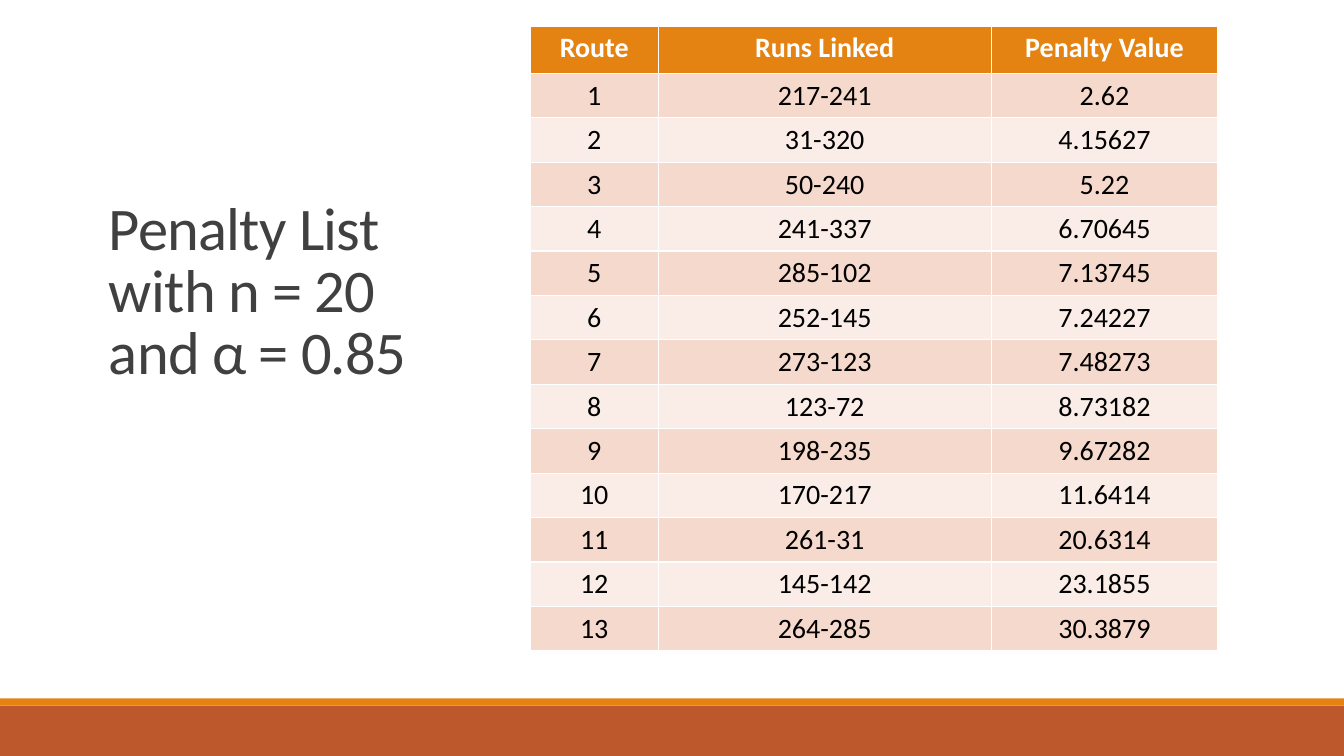
"""Build the penalty list slide with its route table and footer bands."""
from dataclasses import dataclass

from pptx import Presentation
from pptx.dml.color import RGBColor
from pptx.enum.shapes import MSO_SHAPE
from pptx.enum.text import MSO_ANCHOR, MSO_AUTO_SIZE, PP_ALIGN
from pptx.oxml.ns import qn
from pptx.slide import Slide
from pptx.text.text import _Paragraph
from pptx.util import Emu, Pt

EMU_PER_PX = 9525


@dataclass(frozen=True)
class Theme:
    """Colours and type sizes."""
    font: str = "Calibri"
    title_size: float = 43.2
    table_size: float = 20
    title: str = "404040"
    body: str = "000000"
    white: str = "FFFFFF"
    orange: str = "E48312"
    rust: str = "BD582C"
    odd_row: str = "F5D9CC"
    even_row: str = "FAEDE7"


@dataclass(frozen=True)
class Box:
    """Place and size in px."""
    left: int
    top: int
    width: int
    height: int

    def emu(self) -> tuple[Emu, Emu, Emu, Emu]:
        """Return the box in EMU."""
        return px(self.left), px(self.top), px(self.width), px(self.height)


@dataclass(frozen=True)
class Band:
    """Coloured strip across the foot of the slide."""
    box: Box
    colour: str


@dataclass(frozen=True)
class Penalty:
    """Linked runs and the penalty of the link."""
    runs: str
    value: str


THEME = Theme()
SLIDE_WIDTH, SLIDE_HEIGHT = 1280, 720
TITLE = "Penalty List\vwith n = 20\vand α = 0.85"
TITLE_BOX = Box(94, 178, 324, 195)
TABLE_BOX = Box(505, 25, 655, 594)
HEADER_HEIGHT = 45
COLUMN_WIDTHS = (122, 317, 216)
HEADINGS = ("Route", "Runs Linked", "Penalty Value")
BANDS = (
    Band(Box(0, 672, SLIDE_WIDTH, 48), THEME.rust),
    Band(Box(0, 665, SLIDE_WIDTH, 7), THEME.orange),
)
PENALTIES = (
    Penalty("217-241", "2.62"),
    Penalty("31-320", "4.15627"),
    Penalty("50-240", "5.22"),
    Penalty("241-337", "6.70645"),
    Penalty("285-102", "7.13745"),
    Penalty("252-145", "7.24227"),
    Penalty("273-123", "7.48273"),
    Penalty("123-72", "8.73182"),
    Penalty("198-235", "9.67282"),
    Penalty("170-217", "11.6414"),
    Penalty("261-31", "20.6314"),
    Penalty("145-142", "23.1855"),
    Penalty("264-285", "30.3879"),
)


def px(length: int) -> Emu:
    """Turn px into EMU."""
    return Emu(length * EMU_PER_PX)


def style(paragraph: _Paragraph, size: float, colour: str, bold: bool = False) -> None:
    """Set the font of a paragraph."""
    font = paragraph.font
    font.name, font.size, font.bold = THEME.font, Pt(size), bold
    font.color.rgb = RGBColor.from_string(colour)


def draw_band(slide: Slide, band: Band) -> None:
    """Draw one footer strip."""
    strip = slide.shapes.add_shape(MSO_SHAPE.RECTANGLE, *band.box.emu())
    strip.shadow.inherit = False
    strip.fill.solid()
    strip.fill.fore_color.rgb = RGBColor.from_string(band.colour)
    strip.line.fill.background()


def draw_title(slide: Slide) -> None:
    """Place and format the title."""
    title = slide.shapes.title
    title.left, title.top, title.width, title.height = TITLE_BOX.emu()
    frame = title.text_frame
    frame.word_wrap = True
    frame.auto_size = MSO_AUTO_SIZE.NONE
    frame.vertical_anchor = MSO_ANCHOR.BOTTOM
    heading = frame.paragraphs[0]
    heading.text = TITLE
    heading.alignment = PP_ALIGN.LEFT
    heading.line_spacing = 0.85
    style(heading, THEME.title_size, THEME.title)
    heading._p.pPr.find(qn("a:defRPr")).set("spc", "-50")


def draw_table(slide: Slide) -> None:
    """Draw the penalty table."""
    rows = [HEADINGS] + [
        (str(route), penalty.runs, penalty.value)
        for route, penalty in enumerate(PENALTIES, start=1)
    ]
    table = slide.shapes.add_table(len(rows), len(HEADINGS), *TABLE_BOX.emu()).table
    for column, width in zip(table.columns, COLUMN_WIDTHS):
        column.width = px(width)
    route_height = Emu(px(TABLE_BOX.height - HEADER_HEIGHT) // len(PENALTIES))
    for route, texts in enumerate(rows):
        is_header = route == 0
        table.rows[route].height = px(HEADER_HEIGHT) if is_header else route_height
        row_fill = THEME.odd_row if route % 2 else THEME.even_row
        fill = THEME.orange if is_header else row_fill
        ink = THEME.white if is_header else THEME.body
        for position, text in enumerate(texts):
            cell = table.cell(route, position)
            cell.text = text
            cell.fill.solid()
            cell.fill.fore_color.rgb = RGBColor.from_string(fill)
            entry = cell.text_frame.paragraphs[0]
            entry.alignment = PP_ALIGN.CENTER
            style(entry, THEME.table_size, ink, is_header)


def main() -> None:
    """Build and save the slide."""
    deck = Presentation()
    deck.slide_width, deck.slide_height = px(SLIDE_WIDTH), px(SLIDE_HEIGHT)
    slide = deck.slides.add_slide(deck.slide_layouts.get_by_name("Title Only"))
    for band in BANDS:
        draw_band(slide, band)
    draw_title(slide)
    draw_table(slide)
    deck.save("out.pptx")


if __name__ == "__main__":
    main()
